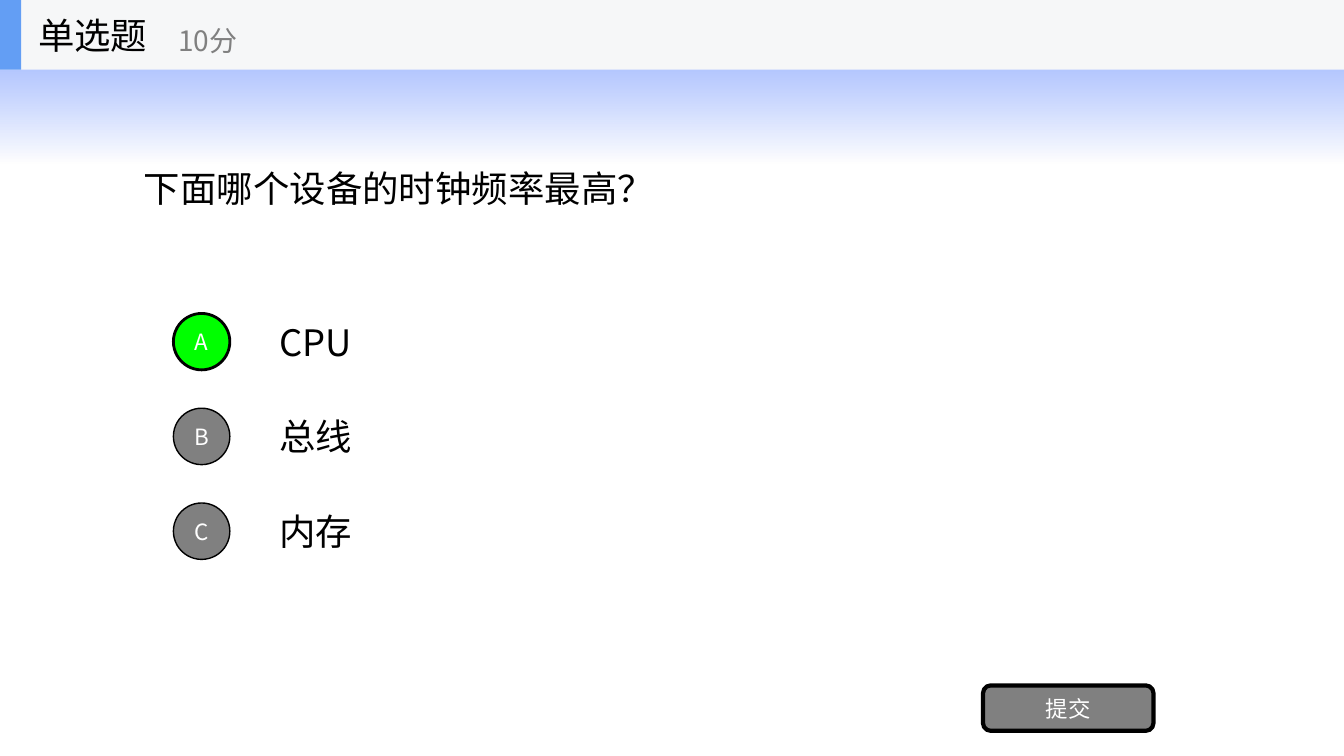
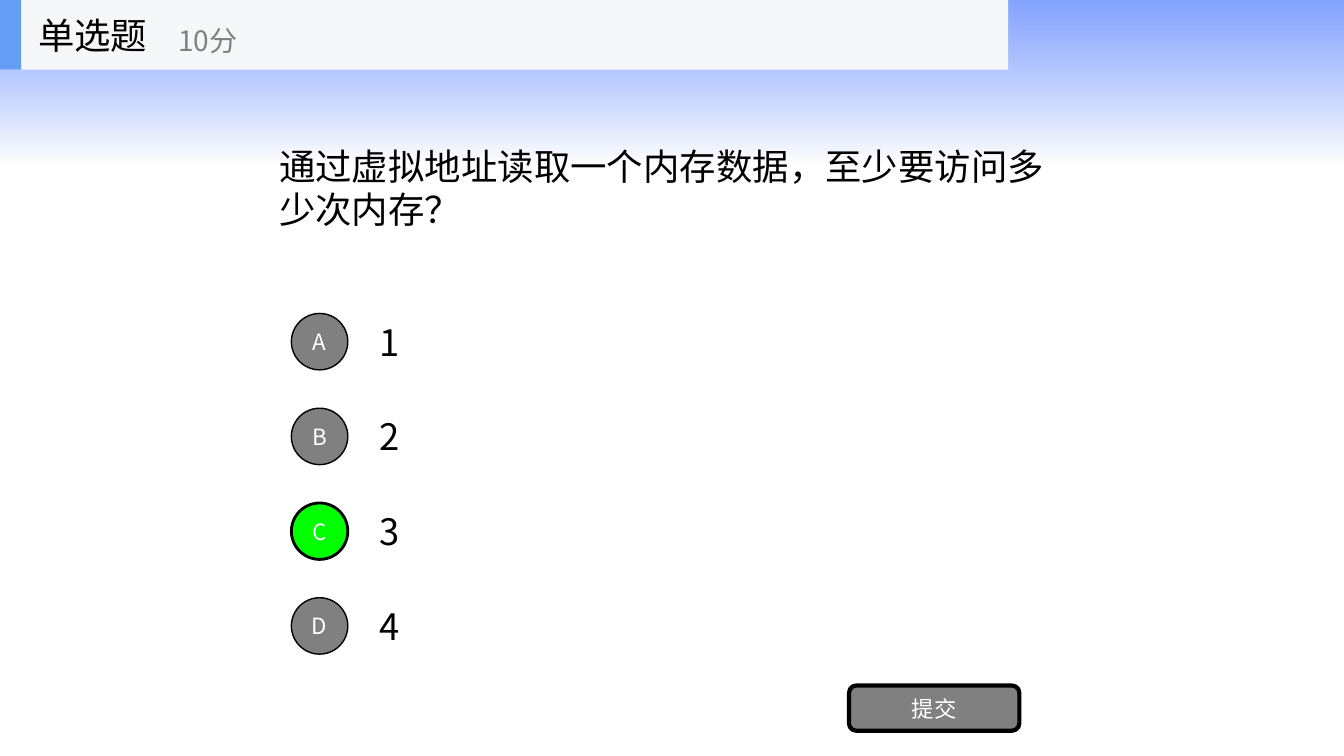
from lxml import etree
from pptx import Presentation
from pptx.dml.color import RGBColor
from pptx.enum.shapes import MSO_SHAPE
from pptx.enum.text import MSO_ANCHOR, PP_ALIGN
from pptx.oxml.ns import qn
from pptx.util import Inches, Pt

RECT = MSO_SHAPE.RECTANGLE
ROUNDED = MSO_SHAPE.ROUNDED_RECTANGLE
OVAL = MSO_SHAPE.OVAL
MIDDLE = MSO_ANCHOR.MIDDLE
CENTER = PP_ALIGN.CENTER

FONT = "Noto Sans CJK SC"
COLORS = {
    "text": "000000",
    "white": "FFFFFF",
    "gray": "808080",
    "correct": "00FF00",
    "header": "F6F7F8",
    "accent": "639EF4",
    "glow": "3366FF",
}
SLIDE_W, SLIDE_H = 13.33, 7.5
HEADER_H = 0.69
GLOW_H = 1.62
GLOW_STOPS = [("glow", 60), ("white", 70)]  # colour, opacity in percent
OPTION_TOP, OPTION_H, OPTION_STEP = 3.04, 0.7, 0.94
BADGE_SIZE = 0.56
BUTTON_W, BUTTON_H, BUTTON_TOP = 1.69, 0.45, 6.8
BUTTON_INSET = 0.56

QUIZ_TYPE, SCORE, SUBMIT = "单选题", "10分", "提交"
QUIZZES = [
    {
        "question": "下面哪个设备的时钟频率最高？",
        "options": ["CPU", "总线", "内存"],
        "answer": 0,
        "header_w": SLIDE_W,
        "left": 1.33, "right": 12, "badge_left": 1.72, "option_left": 2.67,
    },
    {
        "question": "通过虚拟地址读取一个内存数据，至少要访问多少次内存？",
        "options": ["1", "2", "3", "4"],
        "answer": 2,
        "header_w": 10,
        "left": 2.67, "right": 10.67, "badge_left": 2.89, "option_left": 3.67,
    },
]


def rgb(color):
    return RGBColor.from_string(COLORS[color])


def write(frame, text, size, color):
    frame.text = text
    frame.word_wrap = True
    frame.vertical_anchor = MIDDLE
    font = frame.paragraphs[0].runs[0].font
    font.size = Pt(size)
    font.name = FONT
    font.color.rgb = rgb(color)
    east_asian = etree.SubElement(font._element, qn("a:ea"))
    east_asian.set("typeface", FONT)


def add_label(shapes, box, text, size=26, color="text"):
    label = shapes.add_textbox(*map(Inches, box))
    write(label.text_frame, text, size, color)


def add_block(shapes, kind, box, fill):
    block = shapes.add_shape(kind, *map(Inches, box))
    block.shadow.inherit = False
    block.fill.solid()
    block.fill.fore_color.rgb = rgb(fill)
    block.line.fill.background()
    return block


def add_button(shapes, kind, box, text, fill, line_width):
    """Outlined shape with a centred white caption."""
    button = add_block(shapes, kind, box, fill)
    button.line.color.rgb = rgb("text")
    button.line.width = Pt(line_width)
    frame = button.text_frame
    frame.margin_left = frame.margin_right = 0
    frame.margin_top = frame.margin_bottom = 0
    write(frame, text, 16, "white")
    frame.paragraphs[0].alignment = CENTER


def add_glow(slide, layout):
    """Put the fading top band on the layout, so that every slide shows it."""
    glow = add_block(slide.shapes, RECT, (0, 0, SLIDE_W, GLOW_H), "white")
    glow.fill.gradient()
    glow.fill.gradient_angle = 270
    for stop, (color, opacity) in zip(glow.fill.gradient_stops, GLOW_STOPS):
        stop.color.rgb = rgb(color)
    for value, (color, opacity) in zip(glow.element.iter(qn("a:srgbClr")), GLOW_STOPS):
        etree.SubElement(value, qn("a:alpha")).set("val", str(opacity * 1000))
    glow.element.nvSpPr.cNvPr.set("id", "100")
    layout.shapes.element.insert(2, glow.element)


def add_header(slide, width):
    header = slide.shapes.add_group_shape().shapes
    add_block(header, RECT, (0, 0, width, HEADER_H), "header")
    add_block(header, RECT, (0, 0, 0.21, HEADER_H), "accent")
    add_label(header, (0.28, 0, 2.08, HEADER_H), QUIZ_TYPE)
    add_label(header, (1.67, 0.12, 2.5, 0.56), SCORE, 20, "gray")


def add_quiz(slide, quiz):
    shapes = slide.shapes
    left, right = quiz["left"], quiz["right"]
    option_left = quiz["option_left"]
    add_label(shapes, (left, HEADER_H, right - left, 2.34), quiz["question"])
    for i, option in enumerate(quiz["options"]):
        top = OPTION_TOP + i * OPTION_STEP
        add_label(shapes, (option_left, top, right - option_left, OPTION_H), option)
        badge_top = top + (OPTION_H - BADGE_SIZE) / 2
        badge = (quiz["badge_left"], badge_top, BADGE_SIZE, BADGE_SIZE)
        fill, line_width = ("correct", 2) if i == quiz["answer"] else ("gray", 1)
        add_button(shapes, OVAL, badge, "ABCD"[i], fill, line_width)
    button_left = right - BUTTON_INSET - BUTTON_W
    add_button(shapes, ROUNDED, (button_left, BUTTON_TOP, BUTTON_W, BUTTON_H),
               SUBMIT, "gray", 3)
    add_header(slide, quiz["header_w"])


def main():
    prs = Presentation()
    prs.slide_width, prs.slide_height = Inches(SLIDE_W), Inches(SLIDE_H)
    blank = prs.slide_layouts[6]
    slides = [prs.slides.add_slide(blank) for quiz in QUIZZES]
    add_glow(slides[0], blank)
    for slide, quiz in zip(slides, QUIZZES):
        add_quiz(slide, quiz)
    prs.save("out.pptx")


if __name__ == "__main__":
    main()
